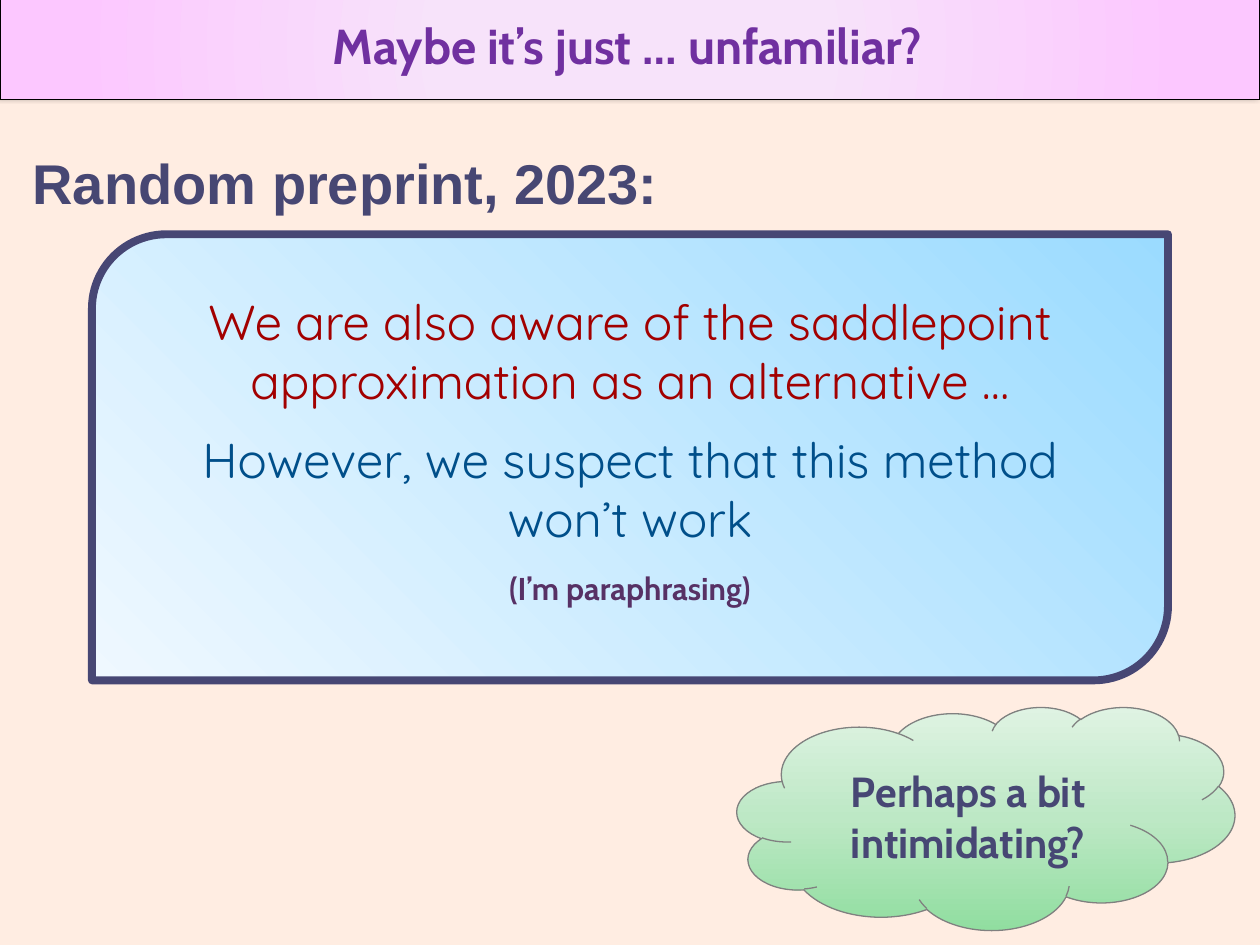
from lxml import etree
from pptx import Presentation
from pptx.dml.color import RGBColor
from pptx.enum.shapes import MSO_SHAPE as Shape
from pptx.enum.text import MSO_ANCHOR as Anchor, MSO_AUTO_SIZE as AutoSize, PP_ALIGN as Align
from pptx.oxml.ns import qn
from pptx.util import Inches, Pt

NAVY = "474774"
INSETS = ("margin_left", "margin_top", "margin_right", "margin_bottom")


def colour(value):
    return RGBColor.from_string(value)


def set_values(target, values):
    for name, value in values.items():
        setattr(target, name, value)


def add_element(parent, tag, **values):
    element = etree.SubElement(parent, qn(f"a:{tag}"))
    for name, value in values.items():
        element.set(name, str(value))
    return element


class Deck:
    def __init__(self, width, height):
        self.file = Presentation()
        set_values(self.file, {"slide_width": Inches(width), "slide_height": Inches(height)})
        self.page = None

    def add_page(self, background):
        self.page = self.file.slides.add_slide(self.file.slide_layouts[6])
        fill = self.page.background.fill
        fill.solid()
        fill.fore_color.rgb = colour(background)

    def add_gradient(self, shape, stops, angle=None):
        shape.fill.solid()
        properties = shape._element.spPr
        fill = etree.Element(qn("a:gradFill"), rotWithShape="1")
        stop_list = add_element(fill, "gsLst")
        for position, value in stops:
            stop = add_element(stop_list, "gs", pos=position * 1000)
            add_element(stop, "srgbClr", val=value)
        if angle is None:
            centre = add_element(fill, "path", path="circle")
            add_element(centre, "fillToRect", l=50000, t=50000, r=50000, b=50000)
        else:
            add_element(fill, "lin", ang=angle * 60000, scaled=0)
        properties.replace(properties.find(qn("a:solidFill")), fill)

    def add_shadow(self, shape, value, opacity, blur, distance, angle):
        effects = shape._element.spPr.find(qn("a:effectLst"))
        outer = add_element(effects, "outerShdw", blurRad=Pt(blur), dist=Pt(distance),
                            dir=angle * 60000, algn="ctr", rotWithShape=0)
        tint = add_element(outer, "srgbClr", val=value)
        add_element(tint, "alpha", val=opacity * 1000)

    def fill_text(self, box, paragraphs, insets, anchor=Anchor.TOP):
        frame = box.text_frame
        set_values(frame, {"word_wrap": True, "auto_size": AutoSize.NONE,
                           "vertical_anchor": anchor})
        set_values(frame, dict(zip(INSETS, map(Inches, insets))))
        for index, (text, font, layout) in enumerate(paragraphs):
            para = frame.add_paragraph() if index else frame.paragraphs[0]
            set_values(para, layout)
            span = para.add_run()
            span.text = text
            name, size, value, bold = font
            set_values(span.font, {"name": name, "size": Pt(size), "bold": bold})
            span.font.color.rgb = colour(value)

    def add_text(self, place, paragraphs, insets):
        self.fill_text(self.page.shapes.add_textbox(*map(Inches, place)), paragraphs, insets)

    def add_panel(self, kind, place, stops, angle, line, paragraphs, insets, anchor=Anchor.TOP):
        panel = self.page.shapes.add_shape(kind, *map(Inches, place))
        panel.shadow.inherit = False
        self.add_gradient(panel, stops, angle)
        value, width = line
        panel.line.color.rgb = colour(value)
        panel.line.width = Pt(width)
        self.fill_text(panel, paragraphs, insets, anchor)
        return panel


def main():
    deck = Deck(10, 7.5)
    deck.add_page("FFEDE2")
    centred = {"alignment": Align.CENTER}
    first = {**centred, "space_after": Pt(6)}
    spaced = {**first, "space_before": Pt(6)}

    title = deck.add_panel(
        Shape.RECTANGLE, (0, -0.08, 10, 0.87), [(29, "F7E3FA"), (88, "FCC7FF")], None,
        ("000000", 0.75),
        [("Maybe it’s just … unfamiliar?", ("Cabin", 28, "7030A0", True),
          {**centred, "space_after": Pt(12)})],
        (0.08, 0.2, 0.12, 0.2), Anchor.MIDDLE)
    deck.add_shadow(title, "000000", 40, 4, 3, 225)

    deck.add_text(
        (0.16, 1.08, 7.41, 0.64),
        [("Random preprint, 2023:", ("Arial", 32, "474773", True), {"space_after": Pt(6)})],
        (0.1, 0.1, 0.1, 0.05))

    deck.add_panel(
        Shape.ROUND_2_DIAG_RECTANGLE, (0.73, 1.86, 8.54, 3.54),
        [(0, "9BDBFF"), (100, "EFF8FF")], 135, (NAVY, 4.5),
        [("We are also aware of the saddlepoint approximation as an alternative …",
          ("Quicksand", 28, "A20000", False), first),
         ("However, we suspect that this method won’t work",
          ("Quicksand", 28, "004F8A", False), spaced),
         ("(I’m paraphrasing)", ("Cabin", 18, "573165", True), spaced)],
        (0.2, 0.28, 0.2, 0.39))

    deck.add_panel(
        Shape.CLOUD, (5.85, 5.61, 3.95, 1.77),
        [(0, "91DEA0"), (50, "BDE8C5"), (100, "DFF3E3")], 270, ("808080", 0.75),
        [("Perhaps a bit intimidating?", ("Cabin", 24, NAVY, True), centred)],
        (0.08, 0.2, 0.08, 0.16))

    deck.file.save("out.pptx")


if __name__ == "__main__":
    main()
